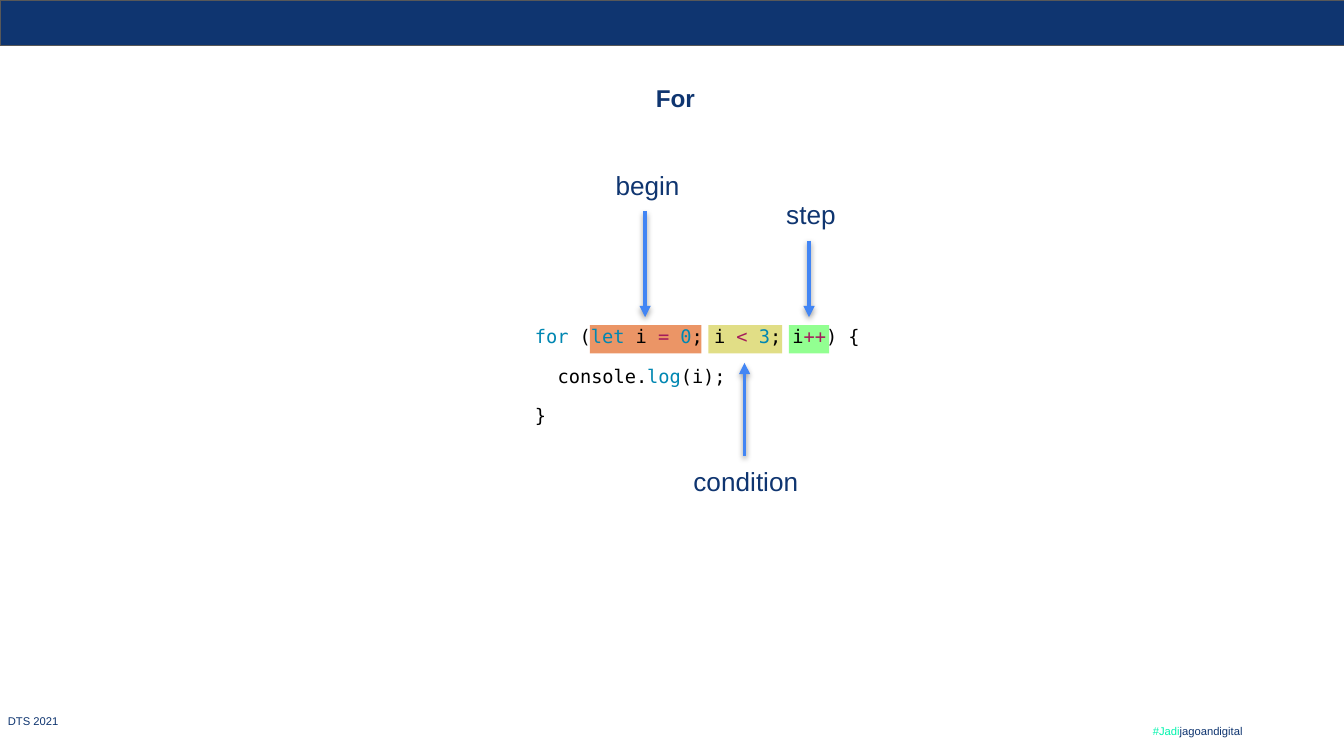
from dataclasses import dataclass

from lxml.etree import SubElement
from pptx import Presentation
from pptx.dml.color import RGBColor
from pptx.enum.shapes import MSO_CONNECTOR, MSO_SHAPE
from pptx.enum.text import PP_ALIGN as Align
from pptx.oxml.ns import qn
from pptx.slide import Slide
from pptx.util import Inches, Pt


@dataclass(frozen=True)
class Theme:
    navy: str = "0F3570"
    border: str = "585858"
    mint: str = "00F4AD"
    arrow: str = "4285F4"
    keyword: str = "0087B2"
    operator: str = "A51C5B"
    plain: str = "000000"
    sans: str = "Arial"
    mono: str = "DejaVu Sans Mono"
    footer_size: float = 6
    code_size: float = 10
    title_size: float = 13
    label_size: float = 14


THEME = Theme()


@dataclass(frozen=True)
class Box:
    left: float
    top: float
    width: float
    height: float

    def lengths(self) -> list:
        return [Inches(v) for v in (self.left, self.top, self.width, self.height)]


@dataclass(frozen=True)
class TextRun:
    text: str
    color: str = THEME.navy


@dataclass(frozen=True)
class Line:
    runs: list[TextRun]
    indent: float = 0
    space_before: float = 0


@dataclass(frozen=True)
class Highlight:
    left: float
    width: float
    color: str


@dataclass(frozen=True)
class Callout:
    text: str
    box: Box
    arrow_x: float
    arrow_start: float
    arrow_end: float


def add_rectangle(slide: Slide, box: Box, color: str, alpha: int = 100,
                  border: str | None = None) -> None:
    shape = slide.shapes.add_shape(MSO_SHAPE.RECTANGLE, *box.lengths())
    shape.shadow.inherit = False
    shape.fill.solid()
    shape.fill.fore_color.rgb = RGBColor.from_string(color)
    if alpha < 100:
        fill_color = shape.fill._xPr.find(qn("a:solidFill"))[0]
        SubElement(fill_color, qn("a:alpha"), val=str(alpha * 1000))
    if border:
        shape.line.color.rgb = RGBColor.from_string(border)
        shape.line.width = Pt(0.75)
    else:
        shape.line.fill.background()


def add_text(slide: Slide, box: Box, lines: list[Line], size: float,
             font: str = THEME.sans, bold: bool = False, inset: float = 0,
             align: Align = Align.LEFT, line_spacing: float = 1.0) -> None:
    frame = slide.shapes.add_textbox(*box.lengths()).text_frame
    frame.word_wrap = True
    frame.margin_left = frame.margin_right = frame.margin_top = Inches(inset)
    frame.margin_bottom = 0
    for number, line in enumerate(lines):
        paragraph = frame.add_paragraph() if number else frame.paragraphs[0]
        paragraph.alignment = align
        paragraph.line_spacing = line_spacing
        paragraph.space_before = Pt(line.space_before)
        paragraph._p.get_or_add_pPr().set("marL", str(Inches(line.indent)))
        for part in line.runs:
            run = paragraph.add_run()
            run.text = part.text
            run.font.name = font
            run.font.size = Pt(size)
            run.font.bold = bold
            run.font.color.rgb = RGBColor.from_string(part.color)


def add_footer(slide: Slide, box: Box, runs: list[TextRun]) -> None:
    add_text(slide, box, [Line(runs)], THEME.footer_size, inset=0.1, line_spacing=0.8)


def add_arrow(slide: Slide, x: float, start: float, end: float) -> None:
    connector = slide.shapes.add_connector(
        MSO_CONNECTOR.STRAIGHT, Inches(x), Inches(start), Inches(x), Inches(end))
    connector.line.color.rgb = RGBColor.from_string(THEME.arrow)
    connector.line.width = Pt(2)
    SubElement(connector.line._get_or_add_ln(), qn("a:tailEnd"), type="triangle")
    # Soft shadow straight below the line
    effects = SubElement(connector._element.spPr, qn("a:effectLst"))
    shadow = SubElement(effects, qn("a:outerShdw"), blurRad=str(Pt(3)),
                        dist=str(Pt(1.6)), dir=str(90 * 60000), rotWithShape="0")
    color = SubElement(shadow, qn("a:srgbClr"), val=THEME.plain)
    SubElement(color, qn("a:alpha"), val="38000")


def add_callout(slide: Slide, callout: Callout) -> None:
    add_arrow(slide, callout.arrow_x, callout.arrow_start, callout.arrow_end)
    add_text(slide, callout.box, [Line([TextRun(callout.text)])], THEME.label_size)


def keyword(text: str) -> TextRun:
    return TextRun(text, THEME.keyword)


def operator(text: str) -> TextRun:
    return TextRun(text, THEME.operator)


def plain(text: str) -> TextRun:
    return TextRun(text, THEME.plain)


SLIDE_WIDTH = 10
CODE_TOP = 2.42
HIGHLIGHTS = [
    Highlight(5.87, 0.3, "4AFF48"),
    Highlight(5.27, 0.55, "CEC936"),
    Highlight(4.39, 0.83, "DE4F00"),
]
CODE = [
    Line([keyword("for"), plain(" ("), keyword("let"), plain(" i "), operator("= "),
          keyword("0"), plain("; i "), operator("< "), keyword("3"), plain("; i"),
          operator("++"), plain(") {")], indent=0.39),
    Line([plain("console."), keyword("log"), plain("(i);")], indent=0.56, space_before=9),
    Line([plain("}")], indent=0.39, space_before=9),
]
CALLOUTS = [
    Callout("begin", Box(4.58, 1.26, 0.52, 0.24), 4.8, 1.57, 2.36),
    Callout("condition", Box(5.16, 3.46, 0.9, 0.24), 5.54, 3.39, 2.7),
    Callout("step", Box(5.85, 1.48, 0.43, 0.24), 6.02, 1.79, 2.36),
]


def main() -> None:
    presentation = Presentation()
    presentation.slide_width = Inches(SLIDE_WIDTH)
    presentation.slide_height = Inches(SLIDE_WIDTH * 9 / 16)
    slide = presentation.slides.add_slide(presentation.slide_layouts[6])

    # Highlights behind the parts of the loop header
    for mark in HIGHLIGHTS:
        add_rectangle(slide, Box(mark.left, CODE_TOP, mark.width, 0.21), mark.color, alpha=60)

    # Top bar, footers and title
    add_rectangle(slide, Box(0, 0, 10.02, 0.34), THEME.navy, border=THEME.border)
    add_footer(slide, Box(-0.04, 5.24, 4.09, 0.21), [TextRun("DTS 2021")])
    add_text(slide, Box(0.14, 0.52, 9.77, 0.42), [Line([TextRun("For")])],
             THEME.title_size, bold=True, inset=0.1, align=Align.CENTER)
    add_footer(slide, Box(8.48, 5.32, 1.53, 0.21),
               [TextRun("#Jadi", THEME.mint), TextRun("jagoandigital")])

    # Code sample and its callouts
    add_text(slide, Box(3.59, CODE_TOP, 2.83, 0.76), CODE, THEME.code_size,
             font=THEME.mono, align=Align.JUSTIFY)
    for callout in CALLOUTS:
        add_callout(slide, callout)

    presentation.save("out.pptx")


if __name__ == "__main__":
    main()
